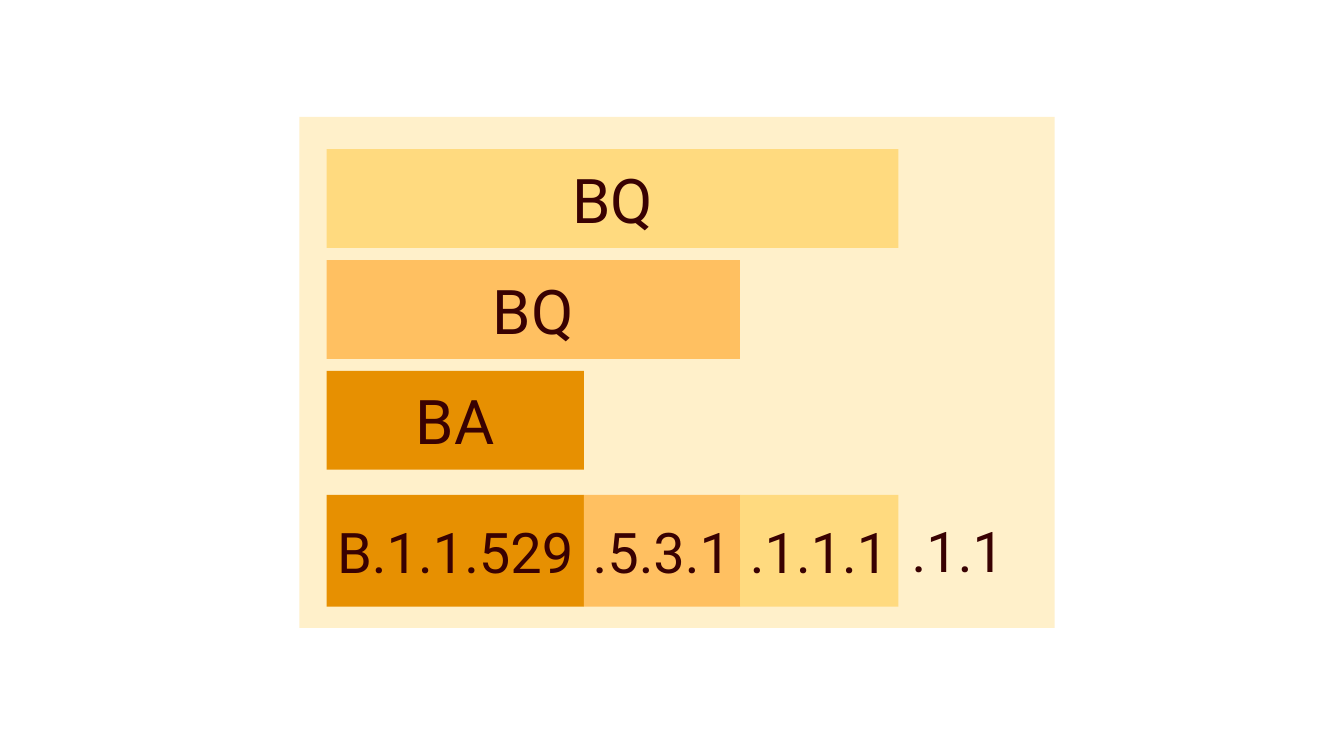
from pptx import Presentation
from pptx.dml.color import RGBColor
from pptx.enum.shapes import MSO_SHAPE
from pptx.enum.text import MSO_ANCHOR, PP_ALIGN
from pptx.util import Inches, Pt


def color(code):
    """Turn a hex string into a colour."""
    return RGBColor.from_string(code)


class Board:
    """Hold the style and the current slide."""

    font = "Roboto"
    ink = "390102"

    def __init__(self, slide):
        """Keep the slide to draw on."""
        self.shapes = slide.shapes

    def letter(self, shape, text, size):
        """Put one centred line of text in a shape."""
        frame = shape.text_frame
        frame.word_wrap = False
        frame.vertical_anchor = MSO_ANCHOR.MIDDLE
        line = frame.paragraphs[0]
        line.text = text
        line.alignment = PP_ALIGN.CENTER
        line.font.name = self.font
        line.font.size = Pt(size)
        line.font.color.rgb = color(self.ink)

    def block(self, left, top, width, height, fill, text="", size=44):
        """Draw a plain filled rectangle, with a label if given."""
        box = [Inches(n) for n in (left, top, width, height)]
        shape = self.shapes.add_shape(MSO_SHAPE.RECTANGLE, *box)
        shape.shadow.inherit = False
        shape.fill.solid()
        shape.fill.fore_color.rgb = color(fill)
        shape.line.fill.background()
        if text:
            self.letter(shape, text, size)

    def label(self, left, top, width, height, text, size):
        """Add text without a fill."""
        box = [Inches(n) for n in (left, top, width, height)]
        self.letter(self.shapes.add_textbox(*box), text, size)


def main():
    """Build the lineage slide."""
    deck = Presentation()
    deck.slide_width, deck.slide_height = Inches(13.33), Inches(7.5)
    board = Board(deck.slides.add_slide(deck.slide_layouts[6]))

    board.block(2.97, 1.16, 7.49, 5.07, "FFF0CA")

    start, top, step = 3.24, 1.48, 1.1
    base = 4.91
    parts = [
        ("BA", "B.1.1.529", 5.79, "E79001"),
        ("BQ", ".5.3.1", 7.34, "FFC061"),
        ("BQ", ".1.1.1", 8.91, "FFDA7F"),
    ]
    for row, (alias, _, end, fill) in enumerate(reversed(parts)):
        board.block(start, top + row * step, end - start, 0.98, fill, alias)

    left = start
    for _, code, end, fill in parts:
        board.block(left, base, end - left, 1.11, fill, code, 40)
        left = end
    board.label(left, base - 0.01, 1.18, 1.11, ".1.1", 40)

    deck.save("out.pptx")


if __name__ == "__main__":
    main()
